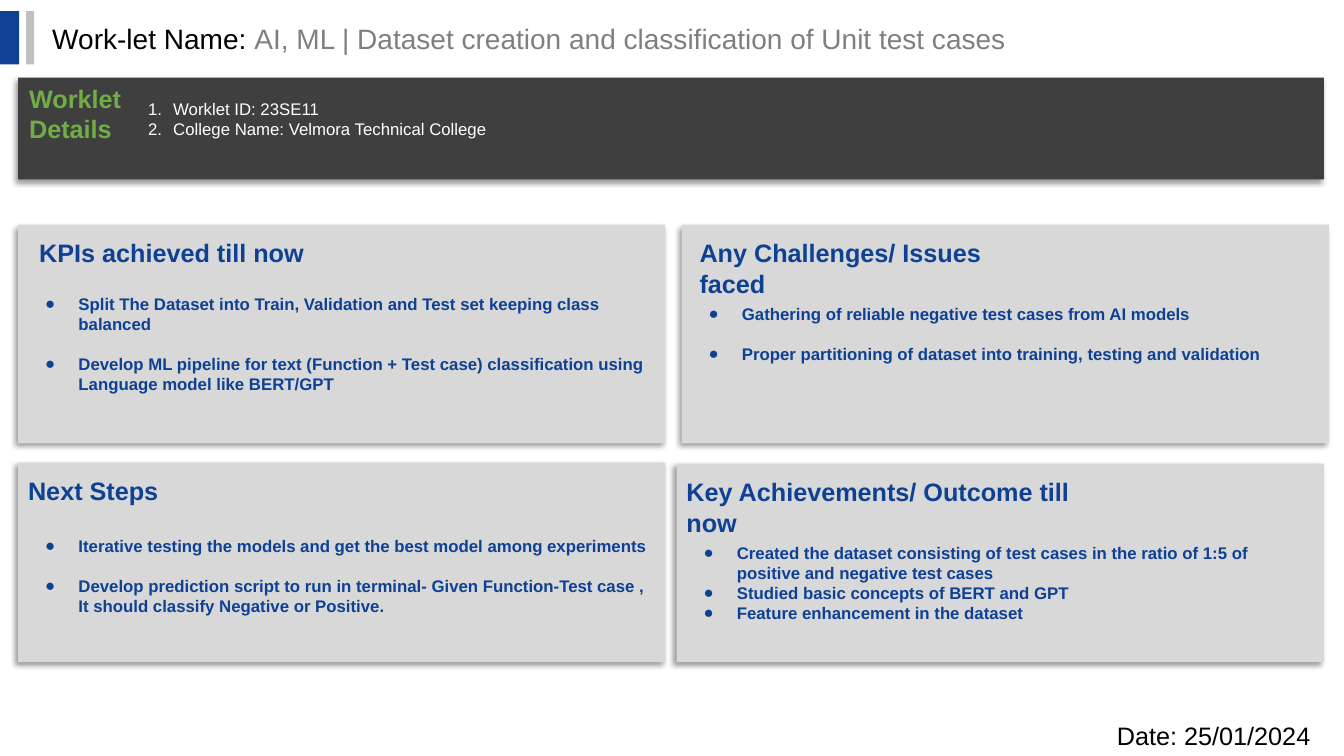
from dataclasses import dataclass

from lxml.etree import SubElement as Sub
from pptx import Presentation
from pptx.dml.color import RGBColor as Rgb
from pptx.enum.shapes import MSO_SHAPE as Shape
from pptx.enum.text import MSO_ANCHOR as Anchor, PP_ALIGN as Align
from pptx.oxml.ns import qn
from pptx.util import Inches, Pt


@dataclass(frozen=True)
class Theme:
    font: str = "Arial"
    blue: str = "0E4094"
    green: str = "70AD47"
    dark: str = "3F3F3F"
    panel: str = "D8D8D8"
    bar: str = "BFBFBF"
    gray: str = "7F7F7F"
    white: str = "FFFFFF"
    black: str = "000000"
    title: int = 20
    head: int = 18
    body: int = 12
    gap: float = 14.4


THEME = Theme()


def style(font, size, color, bold=False):
    font.name = THEME.font
    font.size = Pt(size)
    font.bold = bold
    font.color.rgb = Rgb.from_string(color)


def add_rect(slide, box, color, shade=False):
    rect = slide.shapes.add_shape(Shape.RECTANGLE, *map(Inches, box))
    rect.fill.solid()
    rect.fill.fore_color.rgb = Rgb.from_string(color)
    rect.line.fill.background()
    rect.shadow.inherit = False
    if shade:
        effects = rect._element.spPr.find(qn("a:effectLst"))
        cast = Sub(effects, qn("a:outerShdw"), blurRad=str(Pt(4)),
                   dist=str(Pt(3)), dir="8100000", algn="tr", rotWithShape="0")
        tint = Sub(cast, qn("a:srgbClr"), val=THEME.black)
        Sub(tint, qn("a:alpha"), val="40000")
    return rect


def add_text(slide, box, anchor=Anchor.TOP):
    frame = slide.shapes.add_textbox(*map(Inches, box)).text_frame
    frame.word_wrap = True
    frame.vertical_anchor = anchor
    return frame


def add_line(slide, box, text, size, color, bold=False, anchor=Anchor.TOP):
    para = add_text(slide, box, anchor).paragraphs[0]
    para.text = text
    style(para.font, size, color, bold)


def add_list(frame, items, color, indent, hang, bold=False, gap=0, number=False):
    for i, item in enumerate(items):
        para = frame.add_paragraph() if i else frame.paragraphs[0]
        para.text = item
        para.alignment = Align.LEFT
        para.space_before = Pt(gap if i else 0)
        style(para.font, THEME.body, color, bold)
        props = para._p.get_or_add_pPr()
        props.set("marL", str(Inches(indent)))
        props.set("indent", str(-Inches(hang)))
        tint = Sub(Sub(props, qn("a:buClr")), qn("a:srgbClr"), val=color)
        Sub(props, qn("a:buFont"), typeface=THEME.font)
        if number:
            Sub(props, qn("a:buAutoNum"), type="arabicPeriod")
        else:
            Sub(props, qn("a:buChar"), char="●")
        props.append(props.find(qn("a:defRPr")))


def add_header(slide, box, label, name):
    left, top, width, height = box
    add_rect(slide, (left, top, 0.19, height), THEME.blue)
    add_rect(slide, (left + 0.26, top, 0.08, height), THEME.bar)
    frame = add_text(slide, (left + 0.42, top + 0.05, width, 0.44), Anchor.MIDDLE)
    para = frame.paragraphs[0]
    for text, color in ((label, THEME.black), (name, THEME.gray)):
        run = para.add_run()
        run.text = text
        style(run.font, THEME.title, color)


def add_banner(slide, box, head, items):
    left, top = box[:2]
    add_rect(slide, box, THEME.dark, True)
    add_line(slide, (left + 0.01, top + 0.01, 1.82, 0.4), head,
             THEME.head, THEME.green, True)
    frame = add_text(slide, (left + 1.19, top + 0.16, 4.56, 0.5))
    add_list(frame, items, THEME.white, 0.25, 0.25, number=True)


def add_panel(slide, box, head, spot, inset, items, gap):
    left, top = box[:2]
    shift, width = spot
    frame = add_rect(slide, box, THEME.panel, True).text_frame
    frame.word_wrap = True
    frame.vertical_anchor = Anchor.TOP
    frame.margin_top = Inches(inset)
    add_list(frame, items, THEME.blue, 0.5, 0.33, True, gap)
    add_line(slide, (left + shift, top + 0.08, width, 0.4), head,
             THEME.head, THEME.blue, True)


PANELS = (
    ((0.18, 2.23, 6.42, 2.17), "KPIs achieved till now", (0.11, 3.76), 0.68,
     ("Split The Dataset into Train, Validation and Test set keeping class balanced",
      "Develop ML pipeline for text (Function + Test case) classification using "
      "Language model like BERT/GPT"), THEME.gap),
    ((6.76, 2.23, 6.42, 2.17), "Any Challenges/ Issues faced", (0.08, 3.36), 0.78,
     ("Gathering of reliable negative test cases from AI models",
      "Proper partitioning of dataset into training, testing and validation"),
     THEME.gap),
    ((0.18, 4.59, 6.42, 1.98), "Next Steps", (0, 6.42), 0.72,
     ("Iterative testing the models and get the best model among experiments",
      "Develop prediction script to run in terminal- Given Function-Test case , "
      "It should classify Negative or Positive."), THEME.gap),
    ((6.71, 4.6, 6.42, 1.97), "Key Achievements/ Outcome till now", (0, 4.07), 0.78,
     ("Created the dataset consisting of test cases in the ratio of 1:5 of "
      "positive and negative test cases",
      "Studied basic concepts of BERT and GPT",
      "Feature enhancement in the dataset"), 0),
)


def main():
    deck = Presentation()
    deck.slide_width, deck.slide_height = Inches(13.33), Inches(7.5)
    slide = deck.slides.add_slide(deck.slide_layouts[6])
    add_header(slide, (0, 0.11, 10.96, 0.53), "Work-let Name: ",
               "AI, ML | Dataset creation and classification of Unit test cases")
    add_banner(slide, (0.18, 0.77, 12.95, 1.01), "Worklet Details",
               ("Worklet ID: 23SE11", "College Name: Velmora Technical College"))
    for panel in PANELS:
        add_panel(slide, *panel)
    add_line(slide, (10.98, 7.1, 2.35, 0.4), "Date: 25/01/2024",
             THEME.head, THEME.black, anchor=Anchor.MIDDLE)
    deck.save("out.pptx")


if __name__ == "__main__":
    main()
